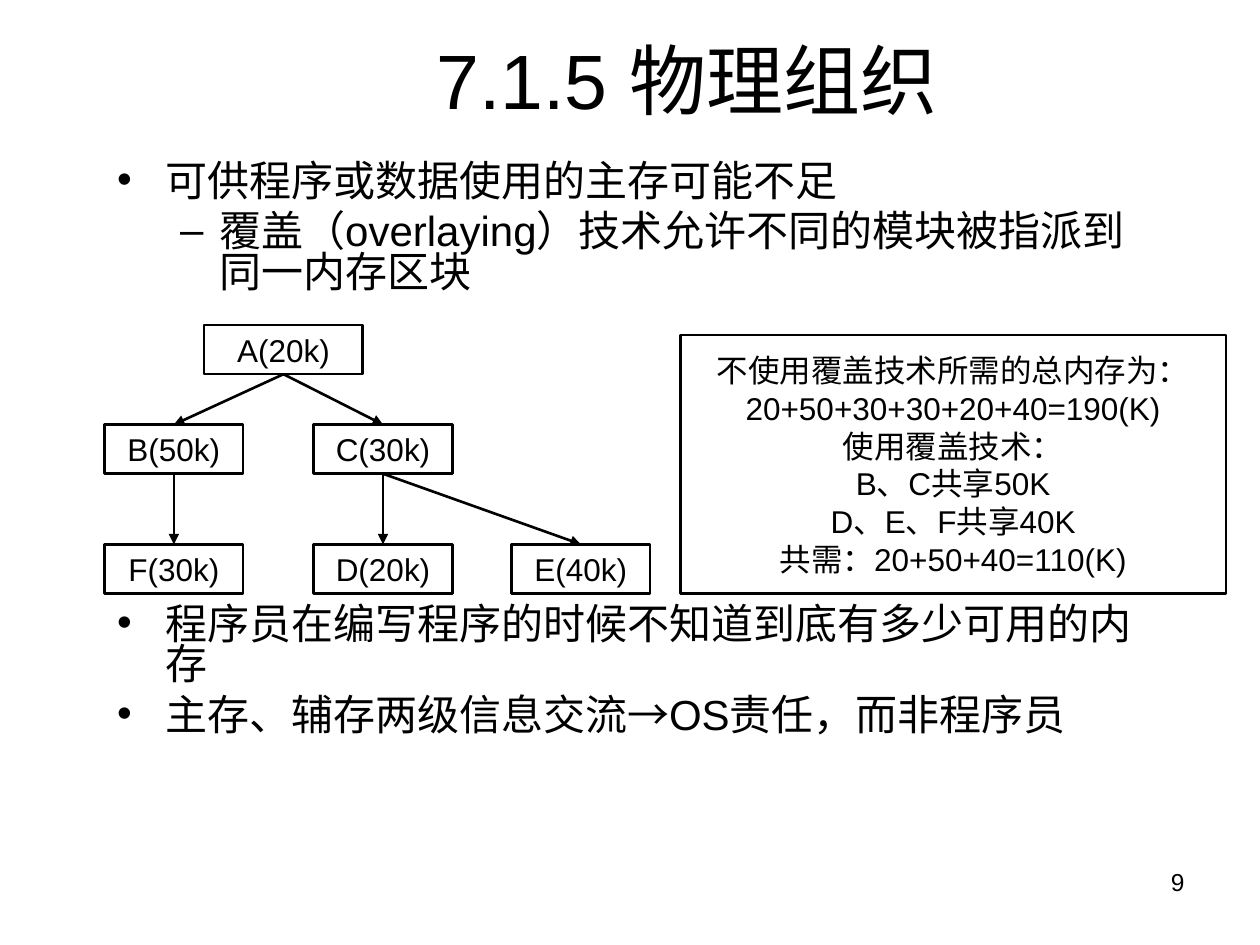
import dataclasses

import lxml.etree
import pptx
import pptx.dml.color
import pptx.enum.shapes
import pptx.enum.text
import pptx.oxml.ns
import pptx.util

Inches = pptx.util.Inches
Pt = pptx.util.Pt
ALIGN = pptx.enum.text.PP_ALIGN
ANCHOR = pptx.enum.text.MSO_ANCHOR


@dataclasses.dataclass(frozen=True)
class Theme:
    """Colours, font and type sizes of the slide."""

    ink: pptx.dml.color.RGBColor = pptx.dml.color.RGBColor(0, 0, 0)
    font: str = "Arial"
    title: int = 44
    body: int = 24
    label: int = 18
    number: int = 14
    rule: float = 1.5


def add_element(parent, tag, **attributes):
    """Append a DrawingML element to parent."""
    return lxml.etree.SubElement(parent, pptx.oxml.ns.qn(tag), **attributes)


def write(paragraph, text, *, theme, size, align=None, bullet=None, indent=(0, 0),
          spacing=None, before=0):
    """Fill a paragraph with formatted text."""
    if bullet:
        properties = paragraph._p.get_or_add_pPr()
        left, hanging = indent
        properties.set("marL", str(Inches(left)))
        properties.set("indent", str(Inches(hanging)))
        add_element(properties, "a:buFont", typeface=theme.font)
        add_element(properties, "a:buChar", char=bullet)
    paragraph.alignment = align
    paragraph.line_spacing = spacing
    paragraph.space_before = Pt(before)
    run = paragraph.add_run()
    run.text = text
    run.font.size = Pt(size)
    run.font.name = theme.font
    run.font.color.rgb = theme.ink


class SlideBuilder:
    """Hold the theme and the current slide, and add elements to it."""

    def __init__(self, slide, theme):
        self.slide = slide
        self.theme = theme

    def place(self, shape, left, top, width, height):
        """Move and size a placeholder."""
        shape.left, shape.top = Inches(left), Inches(top)
        shape.width, shape.height = Inches(width), Inches(height)
        shape.text_frame.auto_size = pptx.enum.text.MSO_AUTO_SIZE.NONE

    def fill_lines(self, frame, lines, **style):
        """Write one paragraph per line with a common style."""
        for index, line in enumerate(lines):
            paragraph = frame.add_paragraph() if index else frame.paragraphs[0]
            write(paragraph, line, theme=self.theme, **style)

    def title(self, text, *bounds):
        """Fill the title placeholder."""
        heading = self.slide.shapes.title
        self.place(heading, *bounds)
        heading.text_frame.vertical_anchor = ANCHOR.MIDDLE
        self.fill_lines(heading.text_frame, [text], size=self.theme.title, align=ALIGN.CENTER)

    def bullets(self, points, *bounds):
        """Fill the body placeholder from (level, space before, text) points."""
        body = self.slide.placeholders[1]
        self.place(body, *bounds)
        levels = [("•", (0.38, -0.38)), ("–", (0.81, -0.31))]
        for index, (level, before, text) in enumerate(points):
            paragraph = body.text_frame.add_paragraph() if index else body.text_frame.paragraphs[0]
            paragraph.level = level
            bullet, indent = levels[level]
            write(paragraph, text, theme=self.theme, size=self.theme.body, align=ALIGN.LEFT,
                  bullet=bullet, indent=indent, spacing=0.8, before=before)

    def box(self, lines, *bounds):
        """Add an outlined rectangle with centred lines."""
        rectangle = self.slide.shapes.add_shape(
            pptx.enum.shapes.MSO_SHAPE.RECTANGLE, *map(Inches, bounds))
        rectangle.shadow.inherit = False
        rectangle.fill.background()
        rectangle.line.color.rgb = self.theme.ink
        rectangle.line.width = Pt(self.theme.rule)
        rectangle.text_frame.word_wrap = False
        rectangle.text_frame.vertical_anchor = ANCHOR.MIDDLE
        self.fill_lines(rectangle.text_frame, lines, size=self.theme.label, align=ALIGN.CENTER)
        return rectangle

    def arrow(self, parent, child):
        """Join the bottom of parent to the top of child."""
        link = self.slide.shapes.add_connector(
            pptx.enum.shapes.MSO_CONNECTOR.STRAIGHT, 0, 0, 0, 0)
        link.begin_connect(parent, 2)
        link.end_connect(child, 0)
        link.line.color.rgb = self.theme.ink
        link.line.width = Pt(self.theme.rule)
        add_element(link.line._get_or_add_ln(), "a:tailEnd", type="triangle")
        add_element(link._element.spPr, "a:effectLst")

    def page_number(self, text, *bounds):
        """Add the right-aligned page number."""
        number = self.slide.shapes.add_textbox(*map(Inches, bounds))
        number.text_frame.word_wrap = True
        self.fill_lines(number.text_frame, [text], size=self.theme.number, align=ALIGN.RIGHT)


def main():
    """Build the slide on overlaying and save it."""
    deck = pptx.Presentation()
    deck.slide_width, deck.slide_height = Inches(10), Inches(7.5)
    builder = SlideBuilder(deck.slides.add_slide(deck.slide_layouts[1]), Theme())

    builder.page_number("9", 7.17, 6.83, 2.33, 0.52)
    builder.title("7.1.5 物理组织", 1.58, 0, 7.75, 1.25)
    diagram_gap = 178
    builder.bullets([
        (0, 0, "可供程序或数据使用的主存可能不足"),
        (1, 6, "覆盖（overlaying）技术允许不同的模块被指派到同一内存区块"),
        (0, diagram_gap, "程序员在编写程序的时候不知道到底有多少可用的内存"),
        (0, 6, "主存、辅存两级信息交流→OS责任，而非程序员"),
    ], 0.83, 1.25, 8.42, 5)

    columns = (0.83, 2.49, 4.06)
    middle_row, bottom_row = 3.37, 4.32
    width, height = 1.1, 0.39
    modules = {"A": builder.box(["A(20k)"], 1.62, 2.58, 1.26, height)}
    for label, column, row in [
        ("B(50k)", 0, middle_row), ("C(30k)", 1, middle_row),
        ("F(30k)", 0, bottom_row), ("D(20k)", 1, bottom_row), ("E(40k)", 2, bottom_row),
    ]:
        modules[label[0]] = builder.box([label], columns[column], row, width, height)
    for parent, child in ("AB", "AC", "BF", "CD", "CE"):
        builder.arrow(modules[parent], modules[child])

    builder.box([
        "不使用覆盖技术所需的总内存为：",
        "20+50+30+30+20+40=190(K)",
        "使用覆盖技术：",
        "B、C共享50K",
        "D、E、F共享40K",
        "共需：20+50+40=110(K)",
    ], 5.4, 2.66, 4.33, 2.05)

    deck.save("out.pptx")


if __name__ == "__main__":
    main()
